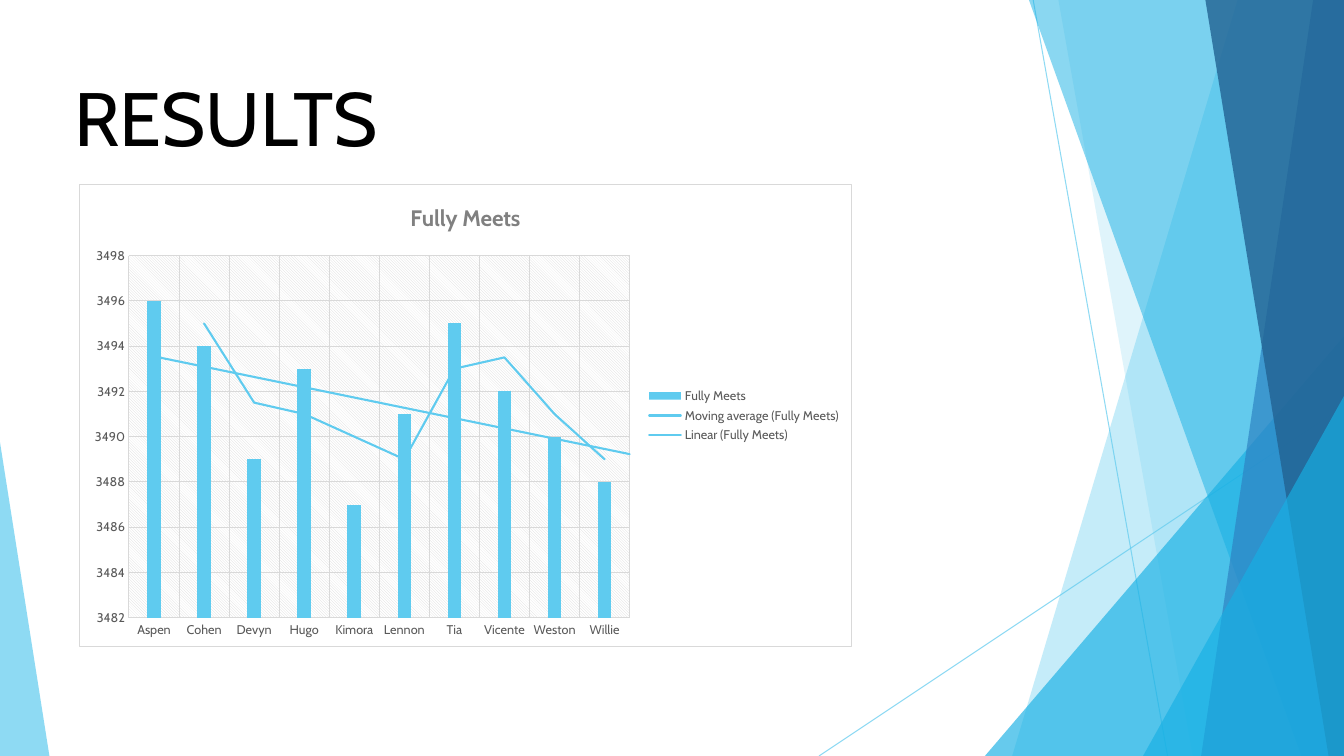
from lxml.etree import SubElement
from pptx import Presentation
from pptx.chart.data import CategoryChartData
from pptx.dml.color import RGBColor
from pptx.enum.chart import XL_CHART_TYPE, XL_LEGEND_POSITION, XL_TICK_MARK
from pptx.enum.shapes import MSO_CONNECTOR, MSO_SHAPE
from pptx.oxml import parse_xml
from pptx.oxml.ns import nsdecls, qn
from pptx.util import Pt

SKY = RGBColor(0x5F, 0xCB, 0xEF)
CYAN = RGBColor(0x17, 0xB0, 0xE4)
BLUE = RGBColor(0x2E, 0x83, 0xC3)
NAVY = RGBColor(0x22, 0x62, 0x92)
BLACK = RGBColor(0, 0, 0)
WHITE = RGBColor(0xFF, 0xFF, 0xFF)
GREY = RGBColor(0x80, 0x80, 0x80)
DARK = RGBColor(0x59, 0x59, 0x59)
PALE = RGBColor(0xD9, 0xD9, 0xD9)

WIDE, HIGH = 960, 540
SCORES = {
    "Aspen": 3496, "Cohen": 3494, "Devyn": 3489, "Hugo": 3493, "Kimora": 3487,
    "Lennon": 3491, "Tia": 3495, "Vicente": 3492, "Weston": 3490, "Willie": 3488,
}
TRENDS = [
    '<c:trendlineType val="movingAvg"/><c:period val="2"/>',
    '<c:trendlineType val="linear"/><c:forward val="0.5"/>',
]


def solid(color):
    return f'<a:solidFill><a:srgbClr val="{color}"/></a:solidFill>'


class Painter:
    def __init__(self, slide, face):
        self.slide = slide
        self.face = face

    def fade(self, part, percent):
        color = next(part.iter(qn("a:srgbClr")))
        SubElement(color, qn("a:alpha")).set("val", str(percent * 1000))

    def style(self, font, size, color, bold=False):
        font.name, font.size, font.bold = self.face, Pt(size), bold
        font.color.rgb = color

    def tint(self, shape, color, percent):
        shape.shadow.inherit = False
        shape.fill.solid()
        shape.fill.fore_color.rgb = color
        shape.line.fill.background()
        self.fade(shape._element.spPr, percent)

    def line(self, x1, y1, x2, y2):
        line = self.slide.shapes.add_connector(
            MSO_CONNECTOR.STRAIGHT, Pt(x1), Pt(y1), Pt(x2), Pt(y2))
        line.line.color.rgb = SKY
        line.line.width = Pt(0.75)
        self.fade(line._element.spPr, 70)
        SubElement(line._element.spPr, qn("a:effectLst"))

    def band(self, top, base, color, percent):
        pen = self.slide.shapes.build_freeform(Pt(top), 0)
        pen.add_line_segments(
            [(Pt(WIDE), 0), (Pt(WIDE), Pt(HIGH)), (Pt(base), Pt(HIGH))])
        self.tint(pen.convert_to_shape(), color, percent)

    def wedge(self, left, top, width, peak, color, percent):
        shape = self.slide.shapes.add_shape(
            MSO_SHAPE.ISOSCELES_TRIANGLE, Pt(left), Pt(top), Pt(width), Pt(HIGH - top))
        shape.adjustments[0] = peak
        self.tint(shape, color, percent)

    def title(self, text, left, top, width, height):
        frame = self.slide.shapes.add_textbox(
            Pt(left), Pt(top), Pt(width), Pt(height)).text_frame
        frame.word_wrap = True
        frame.text = text
        self.style(frame.paragraphs[0].runs[0].font, 54, BLACK)

    def axis(self, axis):
        axis.major_tick_mark = axis.minor_tick_mark = XL_TICK_MARK.NONE
        self.style(axis.tick_labels.font, 9, DARK)
        axis.has_major_gridlines = True
        for line in (axis.format.line, axis.major_gridlines.format.line):
            line.color.rgb = PALE
            line.width = Pt(0.75)

    def trend(self, bars, kind):
        bars._element.find(qn("c:cat")).addprevious(parse_xml(
            f'<c:trendline {nsdecls("c", "a")}><c:spPr><a:ln w="{Pt(1.5)}" cap="rnd">'
            f'{solid(SKY)}</a:ln></c:spPr>{kind}'
            '<c:dispRSqr val="0"/><c:dispEq val="0"/></c:trendline>'))

    def frame(self, chart):
        root = chart._chartSpace
        space = f'<c:spPr {nsdecls("c", "a")}>'
        root.find(qn("c:chart")).addnext(parse_xml(
            f'{space}{solid(WHITE)}<a:ln w="{Pt(0.75)}">{solid(PALE)}</a:ln></c:spPr>'))
        next(root.iter(qn("c:plotArea"))).append(parse_xml(
            f'{space}<a:pattFill prst="ltDnDiag"><a:fgClr><a:srgbClr val="{PALE}"/></a:fgClr>'
            f'<a:bgClr><a:srgbClr val="{WHITE}"/></a:bgClr></a:pattFill>'
            '<a:ln><a:noFill/></a:ln></c:spPr>'))

    def chart(self, name, scores, left, top, width, height):
        data = CategoryChartData()
        data.categories = list(scores)
        data.add_series(name, list(scores.values()))
        chart = self.slide.shapes.add_chart(
            XL_CHART_TYPE.COLUMN_CLUSTERED,
            Pt(left), Pt(top), Pt(width), Pt(height), data).chart
        self.style(chart.font, 10, BLACK)
        chart.has_title = True
        head = chart.chart_title.text_frame
        head.text = name
        self.style(head.paragraphs[0].runs[0].font, 16, GREY, True)
        chart.has_legend = True
        chart.legend.position = XL_LEGEND_POSITION.RIGHT
        chart.legend.include_in_layout = False
        self.style(chart.legend.font, 9, DARK)
        self.axis(chart.category_axis)
        self.axis(chart.value_axis)
        scale = chart.value_axis
        scale.format.line.fill.background()
        scale.minimum_scale, scale.maximum_scale, scale.major_unit = 3482, 3498, 2
        plot = chart.plots[0]
        plot.gap_width, plot.overlap = 267, -43
        plot.vary_by_categories = False
        bars = plot.series[0]
        bars.format.fill.solid()
        bars.format.fill.fore_color.rgb = SKY
        for kind in TRENDS:
            self.trend(bars, kind)
        self.frame(chart)


def main():
    deck = Presentation()
    deck.slide_width, deck.slide_height = Pt(WIDE), Pt(HIGH)
    paint = Painter(deck.slides.add_slide(deck.slide_layouts[6]), "Cabin")
    paint.line(738, 0, 834, HIGH)
    paint.line(WIDE, 290, 585, HIGH)
    paint.band(884, 723, SKY, 36)
    paint.band(756, 852, SKY, 20)
    paint.wedge(703.5, 240, 256.5, 1, CYAN, 66)
    paint.band(735, 929.5, CYAN, 50)
    paint.band(938, 858, BLUE, 70)
    paint.band(861, 949, NAVY, 80)
    paint.wedge(816.5, 283, 143.5, 1, CYAN, 66)
    paint.wedge(0, 316, 35.3, 0, SKY, 70)
    paint.title("RESULTS", 46, 47, 546.5, 70)
    paint.chart("Fully Meets", SCORES, 56.4, 131.3, 552, 331)
    deck.save("out.pptx")


if __name__ == "__main__":
    main()
